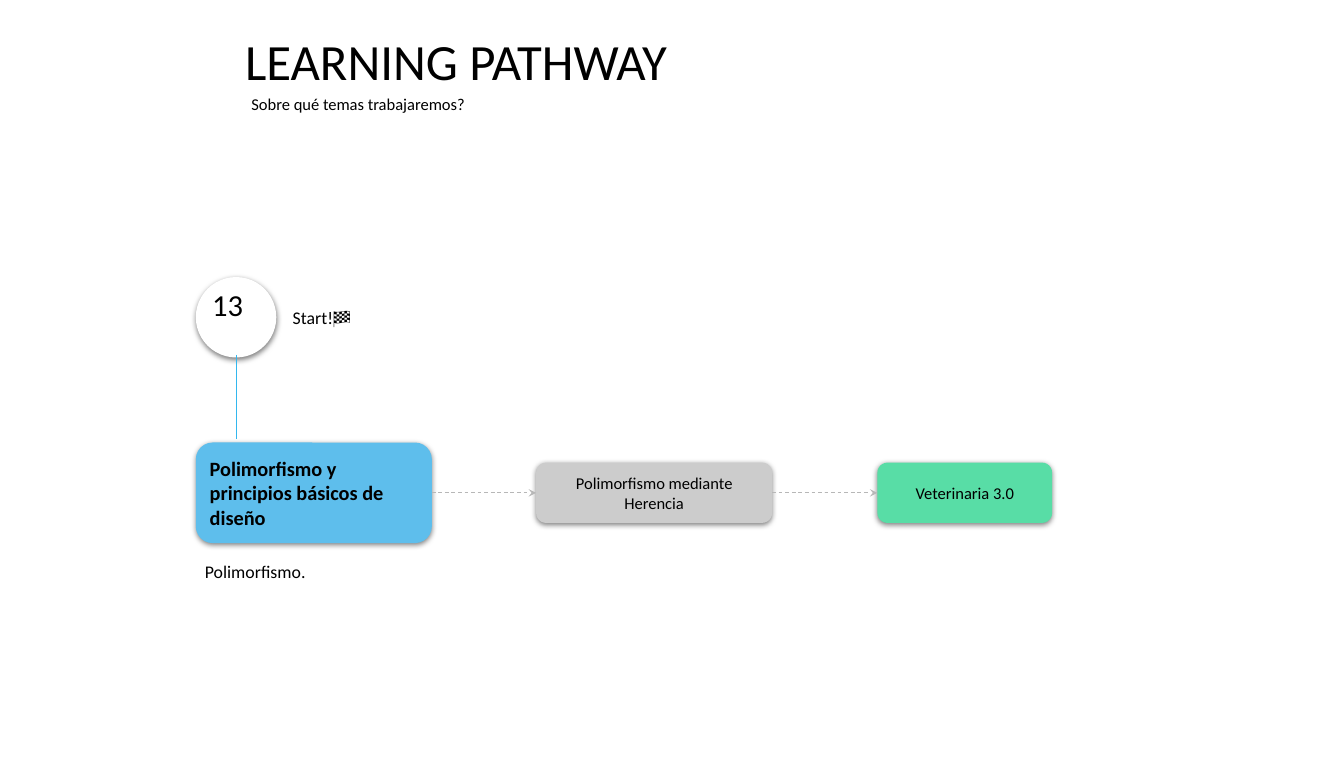
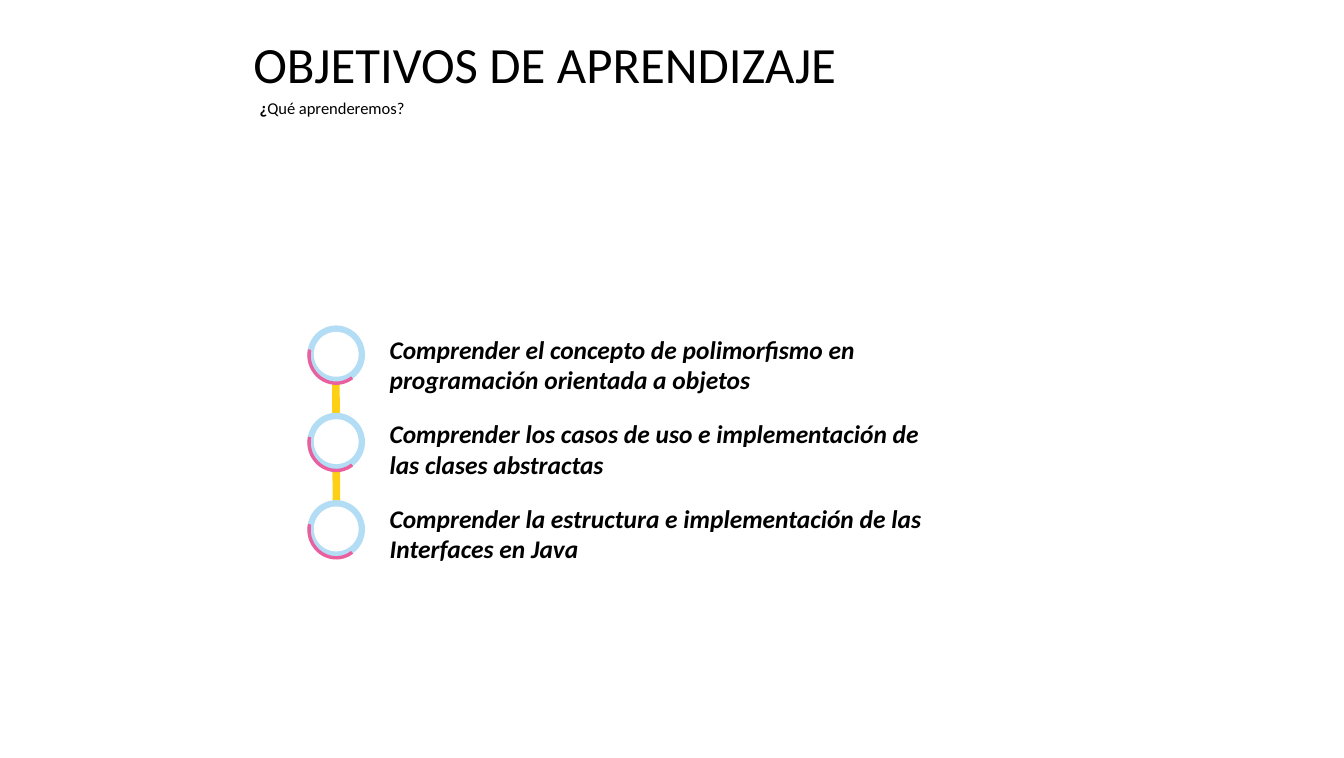
import pptx
import pptx.dml.color
import pptx.enum.dml
import pptx.enum.shapes
import pptx.enum.text
import pptx.oxml
import pptx.oxml.ns
import pptx.util
from pptx.util import Inches

SHAPE = pptx.enum.shapes.MSO_SHAPE
CONNECTOR = pptx.enum.shapes.MSO_CONNECTOR
ALIGN = pptx.enum.text.PP_ALIGN
ANCHOR = pptx.enum.text.MSO_ANCHOR

FONT = "Calibri"
BLACK, WHITE = "000000", "FFFFFF"
BLUE, GREY, GREEN = "5EBEEC", "CCCCCC", "58DDA6"
STEM_BLUE, ARROW_GREY = "33B7EE", "B7B7B7"
YELLOW, RING_BLUE, PINK = "FDD015", "B3DDF5", "EA5F9E"
TITLE_SIZE, SUBTITLE_SIZE = 40, 13
LEFT_SITE, RIGHT_SITE = 1, 3


def rgb(value):
    return pptx.dml.color.RGBColor.from_string(value)


def append_xml(parent, xml):
    """Append an element of the drawing namespace."""
    tag, _, rest = xml.partition(" ")
    ns = pptx.oxml.ns.nsdecls("a")
    parent.append(pptx.oxml.parse_xml(f"<{tag} {ns} {rest}"))


def set_text(tf, text, size, bold=False, italic=False, align=None, lead=""):
    """Fill a text frame; lead is a bold opening before the text."""
    tf.word_wrap = True
    tf.margin_left = tf.margin_right = Inches(0.1)
    tf.margin_top = tf.margin_bottom = Inches(0.1)
    p = tf.paragraphs[0]
    p.alignment = align
    for part, is_bold in ((lead, True), (text, bold)):
        if part:
            r = p.add_run()
            r.text = part
            r.font.name = FONT
            r.font.size = pptx.util.Pt(size)
            r.font.bold = is_bold
            r.font.italic = italic
            r.font.color.rgb = rgb(BLACK)


def add_text(slide, left, top, width, height, text, size, **style):
    sp = slide.shapes.add_textbox(*map(Inches, (left, top, width, height)))
    set_text(sp.text_frame, text, size, **style)
    sp.text_frame.auto_size = pptx.enum.text.MSO_AUTO_SIZE.SHAPE_TO_FIT_TEXT


def add_shape(slide, kind, left, top, width, height, fill, shadow=False):
    sp = slide.shapes.add_shape(kind, *map(Inches, (left, top, width, height)))
    sp.fill.solid()
    sp.fill.fore_color.rgb = rgb(fill)
    sp.line.fill.background()
    sp.shadow.inherit = False
    if shadow:
        effects = sp._element.spPr.find(pptx.oxml.ns.qn("a:effectLst"))
        append_xml(effects,
                   'a:outerShdw blurRad="57150" dist="19050" dir="5400000" '
                   'algn="bl" rotWithShape="0"><a:srgbClr val="000000">'
                   '<a:alpha val="50000"/></a:srgbClr></a:outerShdw>')
    return sp


def add_line(slide, kind, x1, y1, x2, y2, color, width):
    cxn = slide.shapes.add_connector(kind, *map(Inches, (x1, y1, x2, y2)))
    cxn.line.color.rgb = rgb(color)
    cxn.line.width = pptx.util.Pt(width)
    append_xml(cxn._element.spPr, "a:effectLst />")
    return cxn


def add_heading(slide, left, top, title, title_width,
                subtitle, subtitle_width, lead=""):
    add_text(slide, left, top, title_width, 0.88, title, TITLE_SIZE)
    add_text(slide, left + 0.07, top + 0.71, subtitle_width, 0.42,
             subtitle, SUBTITLE_SIZE, lead=lead)


def add_card(slide, left, middle, width, height, fill, text, size, **style):
    """Rounded card centred vertically on middle."""
    sp = add_shape(slide, SHAPE.ROUNDED_RECTANGLE, left, middle - height / 2,
                   width, height, fill, shadow=True)
    sp.text_frame.vertical_anchor = ANCHOR.MIDDLE
    set_text(sp.text_frame, text, size, **style)
    return sp


def add_dashed_arrow(slide, source, target):
    cxn = add_line(slide, CONNECTOR.ELBOW, 0, 0, 0, 0, ARROW_GREY, 0.75)
    cxn.begin_connect(source, RIGHT_SITE)
    cxn.end_connect(target, LEFT_SITE)
    cxn.line.dash_style = pptx.enum.dml.MSO_LINE.DASH
    append_xml(cxn.line._get_or_add_ln(), 'a:tailEnd type="stealth"/>')


def add_ring(slide, left, top):
    add_shape(slide, SHAPE.OVAL, left, top, 0.63, 0.64, RING_BLUE)
    add_shape(slide, SHAPE.OVAL, left + 0.07, top + 0.07, 0.49, 0.49, WHITE)
    arc = add_shape(slide, SHAPE.BLOCK_ARC, left - 0.01, top + 0.02,
                    0.64, 0.62, PINK)
    arc.rotation = 253.6
    for i, value in enumerate((95.84, 179.71, 0.06)):
        arc.adjustments[i] = value


def build_pathway(slide):
    left, axis = 2.14, 5.39
    add_heading(slide, 2.58, 0.22, "LEARNING PATHWAY", 7.24,
                "Sobre qué temas trabajaremos?", 4.2)

    add_shape(slide, SHAPE.OVAL, left, 3.03, 0.88, 0.88, WHITE, shadow=True)
    add_text(slide, 2.22, 3.03, 0.71, 0.61, "13", 24)
    add_text(slide, 3.1, 3.25, 1.12, 0.44, "Start!🏁", 14)
    add_line(slide, CONNECTOR.STRAIGHT, 2.58, 3.88, 2.58, 4.8, STEM_BLUE, 0.75)

    topic = add_card(slide, left, axis, 2.58, 1.1, BLUE,
                     "Polimorfismo y principios básicos de diseño", 16,
                     bold=True, align=ALIGN.LEFT)
    lesson = add_card(slide, 5.86, axis, 2.58, 0.66, GREY,
                      "Polimorfismo mediante Herencia", 13,
                      align=ALIGN.CENTER)
    exercise = add_card(slide, 9.59, axis, 1.91, 0.66, GREEN,
                        "Veterinaria 3.0", 13, align=ALIGN.CENTER)
    add_dashed_arrow(slide, topic, lesson)
    add_dashed_arrow(slide, lesson, exercise)
    add_text(slide, left, 6.03, 1.83, 0.44, "Polimorfismo.", 14)


def build_goals(slide):
    add_heading(slide, 2.67, 0.26, "OBJETIVOS DE APRENDIZAJE", 8.57,
                "Qué aprenderemos?", 2.77, lead="¿")
    add_line(slide, CONNECTOR.STRAIGHT, 3.67, 3.89, 3.68, 6.1, YELLOW, 6)
    goals = (
        "Comprender el concepto de polimorfismo en programación "
        "orientada a objetos",
        "Comprender los casos de uso e implementación de las clases "
        "abstractas",
        "Comprender la estructura e implementación de las Interfaces en Java",
    )
    ring_gap, text_gap = 1.91 / 2, 1.85 / 2
    for i, goal in enumerate(goals):
        add_ring(slide, 3.36, 3.56 + i * ring_gap)
        add_text(slide, 4.16, 3.55 + i * text_gap, 6.21, 0.88, goal, 20,
                 bold=True, italic=True)


def main():
    prs = pptx.Presentation()
    prs.slide_width, prs.slide_height = Inches(14.69), Inches(8.29)
    for build in (build_pathway, build_goals):
        build(prs.slides.add_slide(prs.slide_layouts[6]))
    prs.save("out.pptx")


if __name__ == "__main__":
    main()
